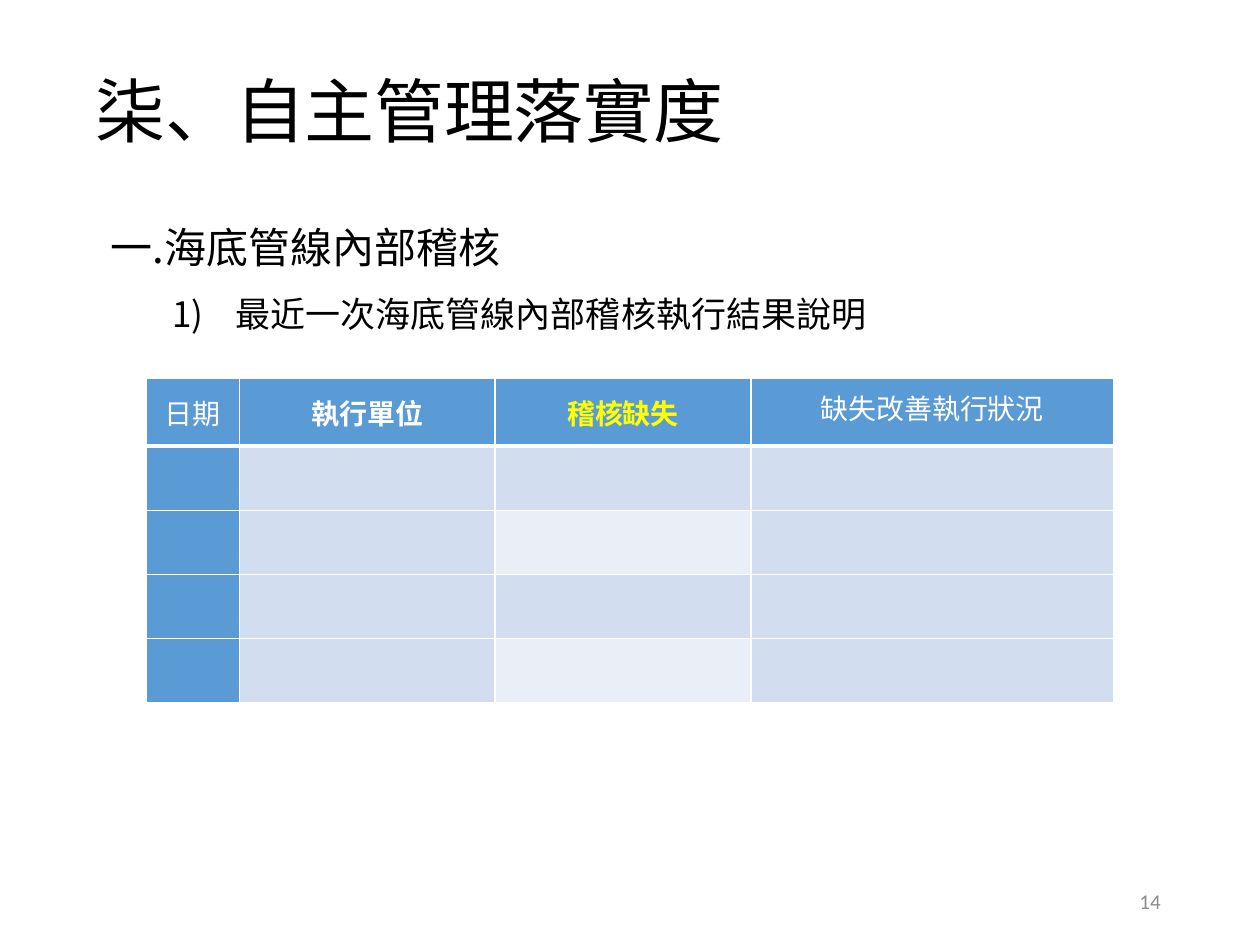
from lxml import etree
from pptx import Presentation
from pptx.dml.color import RGBColor
from pptx.enum.text import MSO_ANCHOR, PP_ALIGN
from pptx.oxml.ns import qn
from pptx.util import Inches, Pt

MIDDLE = MSO_ANCHOR.MIDDLE
LEFT, CENTER, RIGHT = PP_ALIGN.LEFT, PP_ALIGN.CENTER, PP_ALIGN.RIGHT
CJK = "Noto Sans CJK SC"
COLORS = {
    "text": "000000",
    "number": "8C8C8C",
    "white": "FFFFFF",
    "accent": "FFFF00",
    "header": "5B9BD5",
    "band": "D2DEEF",
    "light": "EAEFF7",
}
COLUMNS = [0.74, 2.03, 2.03, 2.88]
ROWS = [0.54] + [0.51] * 4
HEADERS = [
    ("日期", "white", False),
    ("執行單位", "white", True),
    ("稽核缺失", "accent", True),
    ("缺失改善執行狀況", "white", False),
]


def rgb(name):
    return RGBColor.from_string(COLORS[name])


def write(p, text, size, color="text", font=CJK, bold=False, align=LEFT, spacing=None):
    p.alignment = align
    if spacing:
        p.line_spacing = spacing
    r = p.add_run()
    r.text = text
    values = {"size": Pt(size), "name": font, "bold": bold}
    for name, value in values.items():
        setattr(r.font, name, value)
    r.font.color.rgb = rgb(color)
    etree.SubElement(r.font._element, qn("a:ea"), typeface=font)
    return r


def add_text_box(s, box, margins=(0.1, 0.05)):
    tf = s.shapes.add_textbox(*map(Inches, box)).text_frame
    side, edge = map(Inches, margins)
    values = {
        "word_wrap": True,
        "vertical_anchor": MIDDLE,
        "margin_left": side,
        "margin_right": side,
        "margin_top": edge,
        "margin_bottom": edge,
    }
    for name, value in values.items():
        setattr(tf, name, value)
    return tf


def add_title(s):
    tf = add_text_box(s, (0.75, 0.61, 7.63, 0.61), (0, 0))
    p = tf.paragraphs[0]
    r = write(p, "柒、自主管理落實度", 40, spacing=0.9)
    r.font._element.set("spc", "-10")
    p._p.get_or_add_pPr().set("marL", str(Inches(0.01)))


def add_outline(s):
    tf = add_text_box(s, (0.78, 1.5, 8.25, 1.21))
    write(tf.paragraphs[0], "一.海底管線內部稽核", 24, spacing=1.5)
    p = tf.add_paragraph()
    write(p, "最近一次海底管線內部稽核執行結果說明", 20, spacing=1.5)
    pPr = p._p.get_or_add_pPr()
    pPr.set("marL", str(Inches(0.99)))
    pPr.set("indent", str(Inches(-0.5)))
    etree.SubElement(pPr, qn("a:buFont"), typeface=CJK)
    etree.SubElement(pPr, qn("a:buAutoNum"), type="arabicParenR")


def set_borders(cell, bottom):
    tcPr = cell._tc.get_or_add_tcPr()
    for i, (side, width) in enumerate(zip("LRTB", (1, 1, 1, bottom))):
        ln = etree.Element(qn(f"a:ln{side}"), w=str(Pt(width)))
        fill = etree.SubElement(ln, qn("a:solidFill"))
        etree.SubElement(fill, qn("a:srgbClr"), val=COLORS["white"])
        tcPr.insert(i, ln)


def cell_fill(row, col):
    if row == 0 or col == 0:
        return "header"
    return "light" if col == 2 and row % 2 == 0 else "band"


def add_audit_table(s):
    box = (1.16, 3, sum(COLUMNS), sum(ROWS))
    frame = s.shapes.add_table(len(ROWS), len(COLUMNS), *map(Inches, box))
    table = frame.table
    table.first_col = True
    for column, width in zip(table.columns, COLUMNS):
        column.width = Inches(width)
    for i, height in enumerate(ROWS):
        table.rows[i].height = Inches(height)
        for j in range(len(COLUMNS)):
            cell = table.cell(i, j)
            cell.fill.solid()
            cell.fill.fore_color.rgb = rgb(cell_fill(i, j))
            set_borders(cell, 3 if i == 0 else 1)
    margins = {"left": 0.07, "right": 0.07, "top": 0, "bottom": 0}
    for j, (text, color, bold) in enumerate(HEADERS):
        cell = table.cell(0, j)
        cell.vertical_anchor = MIDDLE
        for side, value in margins.items():
            setattr(cell, f"margin_{side}", Inches(value))
        spacing = Pt(18) if j == len(HEADERS) - 1 else None
        write(cell.text_frame.paragraphs[0], text, 16, color,
              bold=bold, align=CENTER, spacing=spacing)


def add_page_number(s):
    tf = add_text_box(s, (7.06, 6.95, 2.25, 0.4))
    write(tf.paragraphs[0], "14", 12, "number", "Calibri", align=RIGHT)


def main():
    prs = Presentation()
    prs.slide_width, prs.slide_height = Inches(10), Inches(7.5)
    s = prs.slides.add_slide(prs.slide_layouts[6])
    add_page_number(s)
    add_title(s)
    add_outline(s)
    add_audit_table(s)
    prs.save("out.pptx")


if __name__ == "__main__":
    main()
